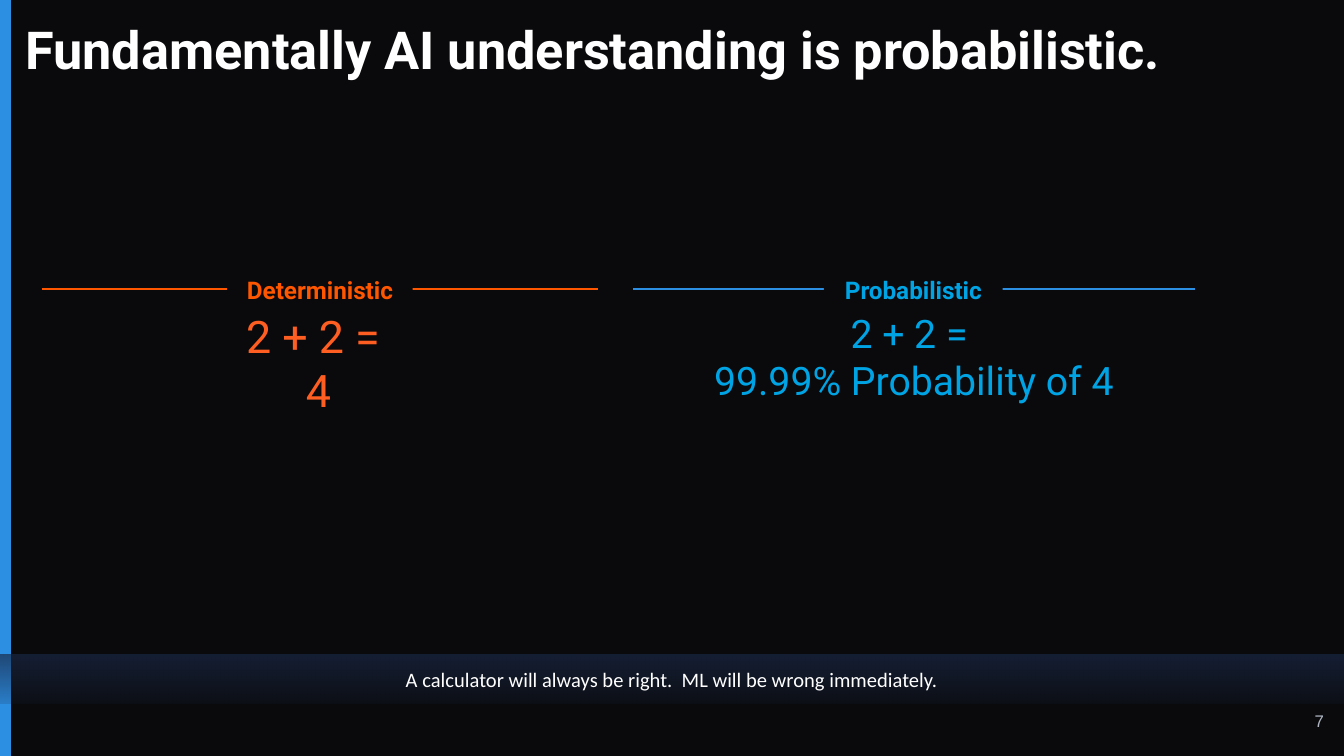
from lxml.etree import SubElement
from pptx import Presentation
from pptx.dml.color import RGBColor
from pptx.enum.shapes import MSO_CONNECTOR, MSO_SHAPE
from pptx.enum.text import MSO_ANCHOR, PP_ALIGN
from pptx.oxml.ns import qn
from pptx.util import Pt

HEX = {
    "back": "0A0A0C", "bar": "2D8FE2", "white": "FFFFFF",
    "orange": "FF5600", "coral": "FE5E22", "sky": "00A4E4",
    "navy": "1A2846", "grey": "B0B7C3",
}
WIDE, HIGH = 720, 405


def tint(name):
    return RGBColor.from_string(HEX[name])


def write(shape, text, size, color, font="Roboto", bold=False,
          align=PP_ALIGN.CENTER, anchor=MSO_ANCHOR.MIDDLE, pad=(7.2, 7.2)):
    frame = shape.text_frame
    frame.word_wrap = True
    frame.vertical_anchor = anchor
    frame.margin_left = frame.margin_right = Pt(pad[0])
    frame.margin_top = frame.margin_bottom = Pt(pad[1])
    frame.text = text
    for para in frame.paragraphs:
        para.alignment = align
        for run in para.runs:
            run.font.name = font
            run.font.size = Pt(size)
            run.font.bold = bold
            run.font.color.rgb = tint(color)
    return frame


def add_box(slide, box, fill=None):
    shape = slide.shapes.add_shape(MSO_SHAPE.RECTANGLE, *map(Pt, box))
    shape.shadow.inherit = False
    shape.line.fill.background()
    if fill:
        shape.fill.solid()
        shape.fill.fore_color.rgb = tint(fill)
    return shape


def add_text(slide, box, text, size, color, **style):
    shape = slide.shapes.add_textbox(*map(Pt, box))
    return write(shape, text, size, color, **style)


def add_rule(slide, left, right, y, color):
    rule = slide.shapes.add_connector(
        MSO_CONNECTOR.STRAIGHT, Pt(left), Pt(y), Pt(right), Pt(y))
    rule.line.color.rgb = tint(color)
    rule.line.width = Pt(0.75)
    SubElement(rule._element.spPr, qn("a:effectLst"))


def add_side(slide, rule, label, sums):
    """A heading set into a rule, with a sum below it."""
    left, right, color = rule
    add_rule(slide, left, right, 154.8, color)
    x, width, pad, head, color = label
    box = add_box(slide, (x, 148.3, width, 13.7), "back")
    write(box, head, 13, color, bold=True, pad=(pad, 7.2))
    x, height, text, size, color = sums
    add_text(slide, (x, 158.4, 296.6, height), text, size, color,
             anchor=MSO_ANCHOR.TOP)


def add_band(slide, text):
    """A see-through strip that fades downwards."""
    band = add_box(slide, (0, 350.6, WIDE, 26.6))
    band.fill.gradient()
    band.fill.gradient_angle = 270
    for stop, place, alpha in zip(band.fill.gradient_stops, (0, 1), (70, 15)):
        stop.position = place
        stop.color.rgb = tint("navy")
        color = stop._gs.find(qn("a:srgbClr"))
        SubElement(color, qn("a:alpha")).set("val", str(alpha * 1000))
    write(band, text, 11, "white", font="Calibri")


def main():
    deck = Presentation()
    deck.slide_width, deck.slide_height = Pt(WIDE), Pt(HIGH)
    slide = deck.slides.add_slide(deck.slide_layouts[6])
    slide.background.fill.solid()
    slide.background.fill.fore_color.rgb = tint("back")

    # Side bar and title
    add_box(slide, (0, 0, 5.8, HIGH), "bar")
    title = add_text(
        slide, (8.6, 5, 658, 46.8),
        "Fundamentally AI understanding is probabilistic.", 28, "white",
        bold=True, align=PP_ALIGN.LEFT, pad=(5, 2.9))
    title.paragraphs[0].line_spacing = 0.9

    # Two ways to add
    add_side(slide, (22.3, 320.4, "orange"),
             (121.7, 99.4, 3.6, "Deterministic", "orange"),
             (22.3, 72.7, "2 + 2 = \n4", 24, "coral"))
    add_side(slide, (339.1, 640, "bar"),
             (441.4, 95.8, 7.2, "Probabilistic", "sky"),
             (341.3, 65.5, "2 + 2 = \n99.99% Probability of 4", 21, "sky"))

    # Closing line and page number
    add_band(slide, "A calculator will always be right.  "
                    "ML will be wrong immediately.")
    add_text(slide, (669.6, 380.9, 39.6, 17.3), "7", 9, "grey", font="Arial",
             align=PP_ALIGN.RIGHT, anchor=MSO_ANCHOR.TOP, pad=(0, 0))
    deck.save("out.pptx")


if __name__ == "__main__":
    main()
